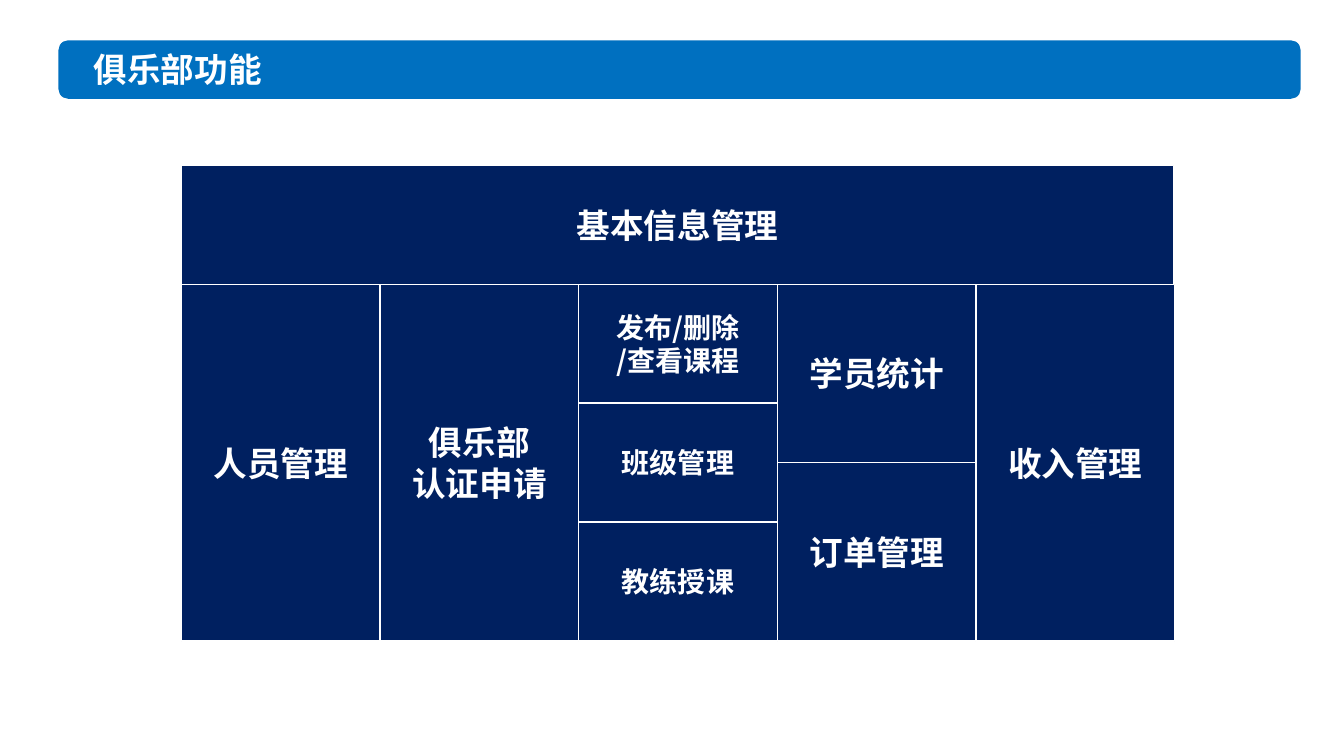
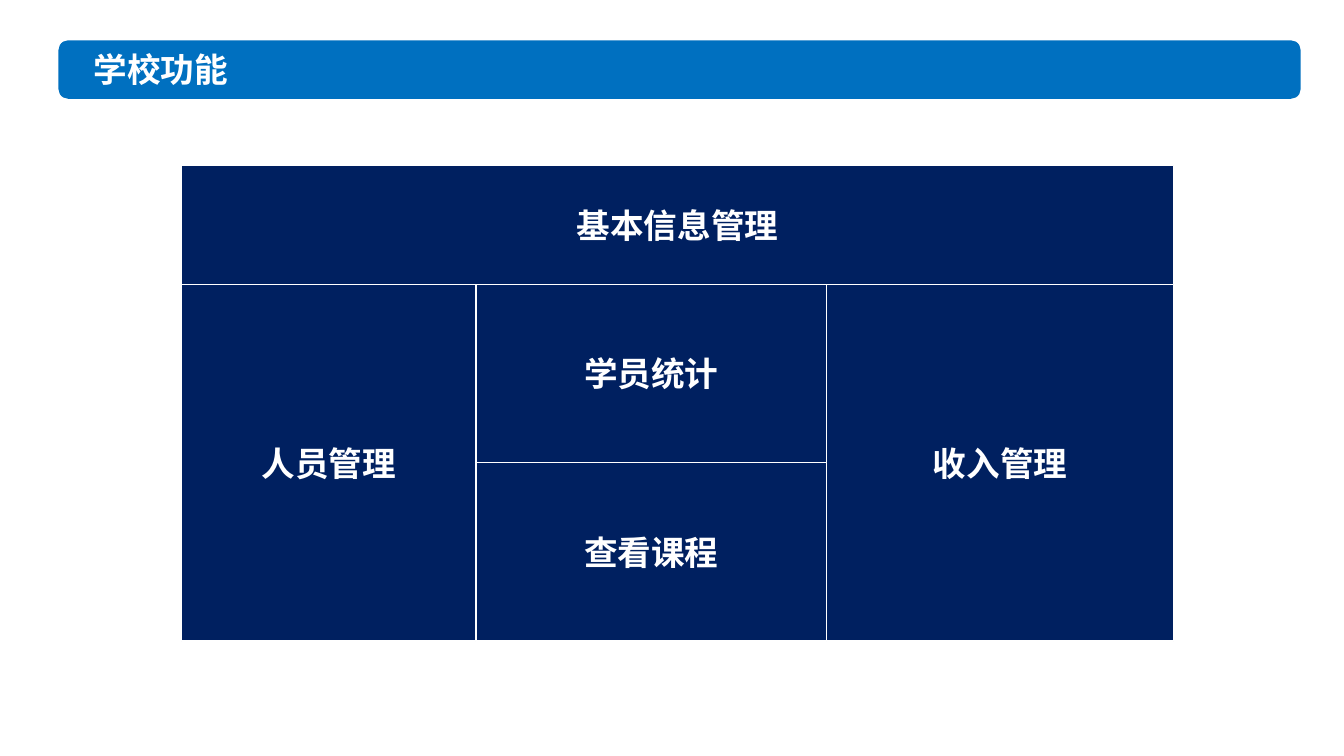
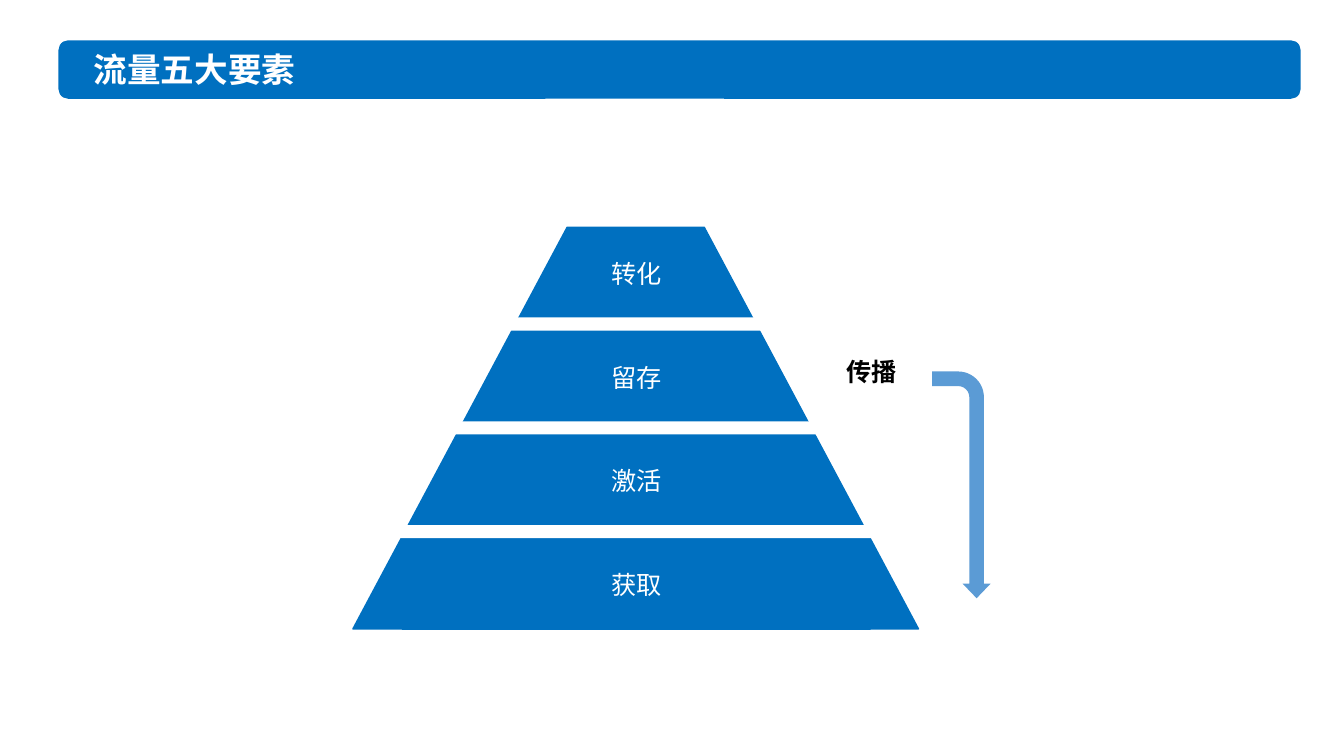
from dataclasses import dataclass

from lxml import etree
from pptx import Presentation
from pptx.dml.color import RGBColor
from pptx.enum import shapes, text
from pptx.oxml import ns
from pptx.util import Inches, Pt


@dataclass(frozen=True)
class Theme:
    blue: str = "0070C0"
    navy: str = "002060"
    sky: str = "5B9BD5"
    white: str = "FFFFFF"
    black: str = "000000"
    face: str = "Noto Sans CJK SC"
    latin: str = "Calibri"
    big: int = 24
    mid: int = 20
    small: int = 18


THEME = Theme()
KIND = shapes.MSO_SHAPE
ALIGN = text.PP_ALIGN
ANCHOR = text.MSO_ANCHOR


def write(frame, words, size=THEME.big, color=THEME.white, bold=True,
          face=THEME.face, align=ALIGN.CENTER, anchor=ANCHOR.MIDDLE,
          wrap=True, space=None):
    """Fill a text frame, one paragraph per line of words."""
    frame.word_wrap = wrap
    frame.vertical_anchor = anchor
    frame.text = words
    for para in frame.paragraphs:
        para.alignment = align
        para.line_spacing = space
        para.space_before = Pt(0)
        for run in para.runs:
            font = run.font
            font.size, font.bold, font.name = Pt(size), bold, face
            font.color.rgb = RGBColor.from_string(color)
            # The East Asian face goes right after the latin one
            east = etree.Element(ns.qn("a:ea"), typeface=THEME.face)
            font._element.find(ns.qn("a:latin")).addnext(east)


class Deck:
    """Holds the theme, the file and the current slide."""

    def __init__(self, theme):
        self.theme = theme
        self.file = Presentation()
        self.file.slide_width = Inches(13.33)
        self.file.slide_height = Inches(7.5)
        self.slide = None

    def page(self, title):
        """Start a slide with the title band."""
        self.slide = self.file.slides.add_slide(self.file.slide_layouts[5])
        band = self.shape(KIND.ROUNDED_RECTANGLE, 0.58, 0.4, 12.32, 0.58,
                          self.theme.blue)
        self.slide.shapes.element.insert(2, band.element)
        head = self.slide.shapes.title
        head.left, head.top = Inches(0.83), Inches(0.48)
        head.width, head.height = Inches(5.3), Inches(0.5)
        head.text_frame.margin_bottom = Inches(0.09)
        write(head.text_frame, title, align=ALIGN.LEFT, space=0.9)

    def shape(self, kind, x, y, w, h, fill, line=None):
        item = self.slide.shapes.add_shape(
            kind, Inches(x), Inches(y), Inches(w), Inches(h))
        item.shadow.inherit = False
        item.fill.solid()
        item.fill.fore_color.rgb = RGBColor.from_string(fill)
        if line:
            item.line.color.rgb = RGBColor.from_string(line)
            item.line.width = Pt(1)
        else:
            item.line.fill.background()
        return item

    def cell(self, words, x, y, w, h, size):
        box = self.shape(KIND.RECTANGLE, x, y, w, h,
                         self.theme.navy, self.theme.white)
        write(box.text_frame, words, size=size)

    def blocks(self, top, cols):
        """Draw a top block over columns split into equal blocks."""
        left, head, unit, tall = 1.8, 1.64, 1.18, 3.54
        self.cell(top, left, head, 9.84, unit, self.theme.big)
        for wide, names in cols:
            high = tall / len(names)
            size = self.theme.mid if len(names) > 2 else self.theme.big
            for row, name in enumerate(names):
                self.cell(name, left, head + unit + row * high,
                          wide, high, size)
            left += wide

    def tiers(self, names):
        """Cut a triangle into labelled tiers with white gaps."""
        mid, top, high, step = 6.31, 2.26, 0.9, 1.03
        self.shape(KIND.ISOSCELES_TRIANGLE, 3.5, 0.98, 5.61, 5.26,
                   self.theme.blue, self.theme.blue)
        for row, name in enumerate(names):
            wide = 1.35 + 1.1 * row
            tier = self.shape(KIND.RECTANGLE, mid - wide / 2,
                              top + row * step, wide, high, self.theme.blue)
            write(tier.text_frame, name, size=self.theme.small, bold=False,
                  face=self.theme.latin)
        for row in range(len(names) - 1):
            wide = 2.64 + 1.05 * row
            self.shape(KIND.RECTANGLE, mid - wide / 2,
                       3.15 + row * step, wide, 0.13, self.theme.white)
        # Flat top
        self.shape(KIND.RECTANGLE, 5.41, 0.98, 1.77, 1.27, self.theme.white)

    def arrow(self, x, y, w, h, turn, bends):
        item = self.shape(KIND.BENT_ARROW, x, y, w, h, self.theme.sky)
        item.rotation = turn
        for spot, bend in enumerate(bends):
            item.adjustments[spot] = bend

    def label(self, words, x, y, w, h):
        box = self.slide.shapes.add_textbox(
            Inches(x), Inches(y), Inches(w), Inches(h))
        write(box.text_frame, words, size=self.theme.small,
              color=self.theme.black, anchor=ANCHOR.TOP, wrap=False)


def main():
    deck = Deck(THEME)

    # Club functions
    wide = 1.97
    deck.page("俱乐部功能")
    deck.blocks("基本信息管理", [
        (wide, ["人员管理"]),
        (wide, ["俱乐部\n认证申请"]),
        (wide, ["发布/删除\n/查看课程", "班级管理", "教练授课"]),
        (wide, ["学员统计", "订单管理"]),
        (wide, ["收入管理"]),
    ])

    # School functions
    deck.page("学校功能")
    deck.blocks("基本信息管理", [
        (2.92, ["人员管理"]),
        (3.48, ["学员统计", "查看课程"]),
        (3.44, ["收入管理"]),
    ])

    # Traffic pyramid
    deck.page("流量五大要素")
    deck.tiers(["转化", "留存", "激活", "获取"])
    deck.arrow(8.41, 4.52, 2.25, 0.58, 90, (0.25, 0.24, 0.25, 0.44))
    deck.label("传播", 8.2, 3.49, 0.89, 0.51)

    deck.file.save("out.pptx")


if __name__ == "__main__":
    main()
